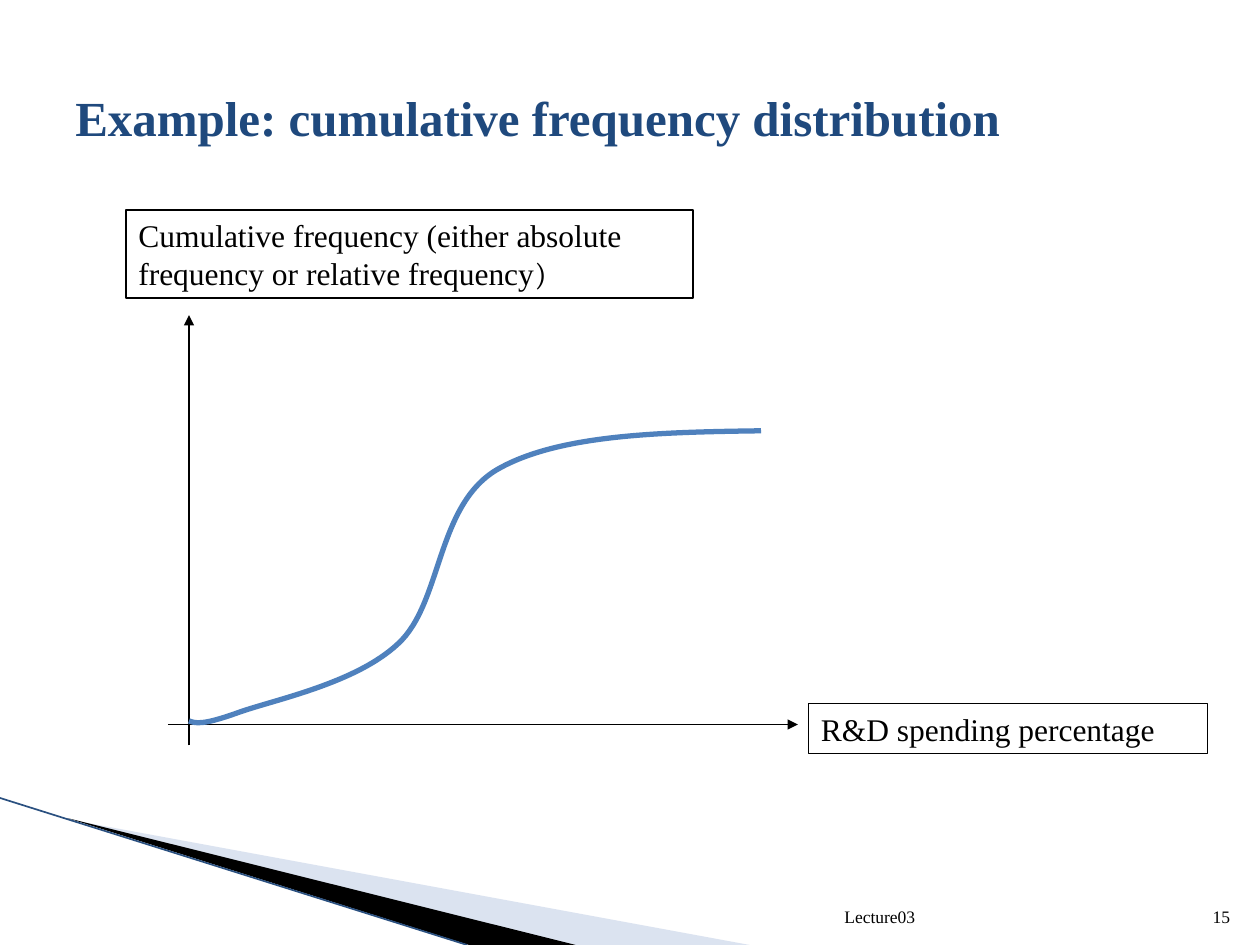
from dataclasses import dataclass

import pptx
import pptx.dml.color
import pptx.enum.shapes
import pptx.enum.text
import pptx.oxml
import pptx.oxml.ns
import pptx.presentation
import pptx.shapes.autoshape
import pptx.shapes.base
import pptx.slide
import pptx.util

Pt = pptx.util.Pt
Align = pptx.enum.text.PP_ALIGN
Anchor = pptx.enum.text.MSO_ANCHOR
Point = tuple[float, float]
Box = tuple[float, float, float, float]


@dataclass(frozen=True)
class Theme:
    font: str = "Times New Roman"
    bracket_font: str = "Cambria"
    ink: str = "000000"
    paper: str = "FFFFFF"
    title: str = "1F497D"
    curve: str = "4F81BD"
    pale_wedge: str = "A7B9DB"
    edge: str = "2A5080"
    title_size: float = 28
    label_size: float = 18
    footer_size: float = 10
    thin: float = 0.75
    thick: float = 3


THEME = Theme()


@dataclass(frozen=True)
class Wedge:
    corners: tuple[Point, ...]
    color: str
    opacity: int = 100


@dataclass(frozen=True)
class Line:
    start: Point
    end: Point
    color: str = THEME.ink
    width: float = THEME.thin
    arrow: bool = True


@dataclass(frozen=True)
class Label:
    box: Box
    text: str
    size: float = THEME.label_size
    color: str = THEME.ink
    bold: bool = False
    align: Align = Align.LEFT
    anchor: Anchor = Anchor.TOP
    framed: bool = False
    ending: str = ""


WEDGES = (
    Wedge(((39.6, 468.4), (428.4, 540), (328.3, 540)), THEME.pale_wedge, 40),
    Wedge(((38.5, 467.5), (329, 540), (268, 540)), THEME.ink),
)
EDGE = Line((0, 456), (267, 540), THEME.edge, 0.95, arrow=False)
AXES = (
    Line((96, 414), (456, 414)),
    Line((108, 426), (108, 180)),
)
CURVE_START = (108, 412)
CURVE_CONTROLS = (
    (111.6, 413.3), (115.2, 414.7), (135.4, 407.5),
    (154.8, 400.3), (203, 391), (227.5, 367.9),
    (252.7, 344.9), (249.1, 289.4), (283.7, 268.6),
    (318.2, 248.4), (376.6, 247), (434.9, 246.2),
)
LABELS = (
    Label((345, 505, 185, 28.5), "Lecture03", THEME.footer_size,
          align=Align.RIGHT, anchor=Anchor.BOTTOM),
    Label((681, 505, 29, 28.5), "15", THEME.footer_size,
          align=Align.RIGHT, anchor=Anchor.BOTTOM),
    Label((36, 21.6, 648, 90), "Example: cumulative frequency distribution",
          THEME.title_size, THEME.title, bold=True, anchor=Anchor.MIDDLE),
    Label((72, 120, 324, 50.4),
          "Cumulative frequency (either absolute frequency or relative frequency",
          framed=True, ending=")"),
    Label((462, 402, 228, 28.8), "R&D spending percentage", framed=True),
)


def rgb(color: str) -> pptx.dml.color.RGBColor:
    return pptx.dml.color.RGBColor.from_string(color)


def add_child(parent, tag: str, **attributes: str):
    child = pptx.oxml.parse_xml(f"<{tag} {pptx.oxml.ns.nsdecls('a')}/>")
    for name, value in attributes.items():
        child.set(name, value)
    parent.append(child)
    return child


def write(paragraph, text: str, *, font: str = THEME.font, size: float,
          color: str, bold: bool = False) -> None:
    run = paragraph.add_run()
    run.text = text
    run.font.name = font
    run.font.size = Pt(size)
    run.font.bold = bold
    run.font.color.rgb = rgb(color)


def draw_label(slide: pptx.slide.Slide, label: Label) -> None:
    holder = slide.shapes.add_textbox(*map(Pt, label.box))
    if label.framed:
        holder.fill.solid()
        holder.fill.fore_color.rgb = rgb(THEME.paper)
        holder.line.color.rgb = rgb(THEME.ink)
        holder.line.width = Pt(THEME.thin)
    frame = holder.text_frame
    frame.word_wrap = True
    frame.vertical_anchor = label.anchor
    paragraph = frame.paragraphs[0]
    paragraph.alignment = label.align
    write(paragraph, label.text, size=label.size, color=label.color, bold=label.bold)
    if label.ending:
        write(paragraph, label.ending, font=THEME.bracket_font,
              size=label.size, color=label.color)


def draw_line(slide: pptx.slide.Slide, line: Line) -> None:
    connector = slide.shapes.add_connector(
        pptx.enum.shapes.MSO_CONNECTOR.STRAIGHT, *map(Pt, line.start + line.end))
    connector.line.color.rgb = rgb(line.color)
    connector.line.width = Pt(line.width)
    if line.arrow:
        add_child(connector.line._get_or_add_ln(), "a:tailEnd", type="triangle")
    add_child(connector._element.spPr, "a:effectLst")


def add_outline(slide: pptx.slide.Slide, start: Point, points: tuple[Point, ...],
                close: bool) -> pptx.shapes.autoshape.Shape:
    builder = slide.shapes.build_freeform(*map(Pt, start))
    builder.add_line_segments([(Pt(x), Pt(y)) for x, y in points], close=close)
    outline = builder.convert_to_shape()
    outline.shadow.inherit = False
    return outline


def draw_wedge(slide: pptx.slide.Slide, wedge: Wedge) -> None:
    outline = add_outline(slide, wedge.corners[0], wedge.corners[1:], close=True)
    outline.fill.solid()
    outline.fill.fore_color.rgb = rgb(wedge.color)
    outline.line.fill.background()
    if wedge.opacity < 100:
        color = outline._element.spPr.find(".//" + pptx.oxml.ns.qn("a:srgbClr"))
        add_child(color, "a:alpha", val=str(wedge.opacity * 1000))


def draw_curve(slide: pptx.slide.Slide) -> None:
    curve = add_outline(slide, CURVE_START, CURVE_CONTROLS, close=False)
    curve.fill.background()
    curve.line.color.rgb = rgb(THEME.curve)
    curve.line.width = Pt(THEME.thick)
    outline = curve._element.spPr.find(".//" + pptx.oxml.ns.qn("a:path"))
    segments = outline.findall(pptx.oxml.ns.qn("a:lnTo"))
    for first in range(0, len(segments), 3):
        bend = add_child(outline, "a:cubicBezTo")
        for segment in segments[first:first + 3]:
            bend.append(segment[0])
            outline.remove(segment)


def main() -> None:
    deck = pptx.Presentation()
    deck.slide_width, deck.slide_height = Pt(720), Pt(540)
    slide = deck.slides.add_slide(deck.slide_layouts[6])
    for wedge in WEDGES:
        draw_wedge(slide, wedge)
    for line in (EDGE, *AXES):
        draw_line(slide, line)
    for label in LABELS:
        draw_label(slide, label)
    draw_curve(slide)
    deck.save("out.pptx")


if __name__ == "__main__":
    main()
